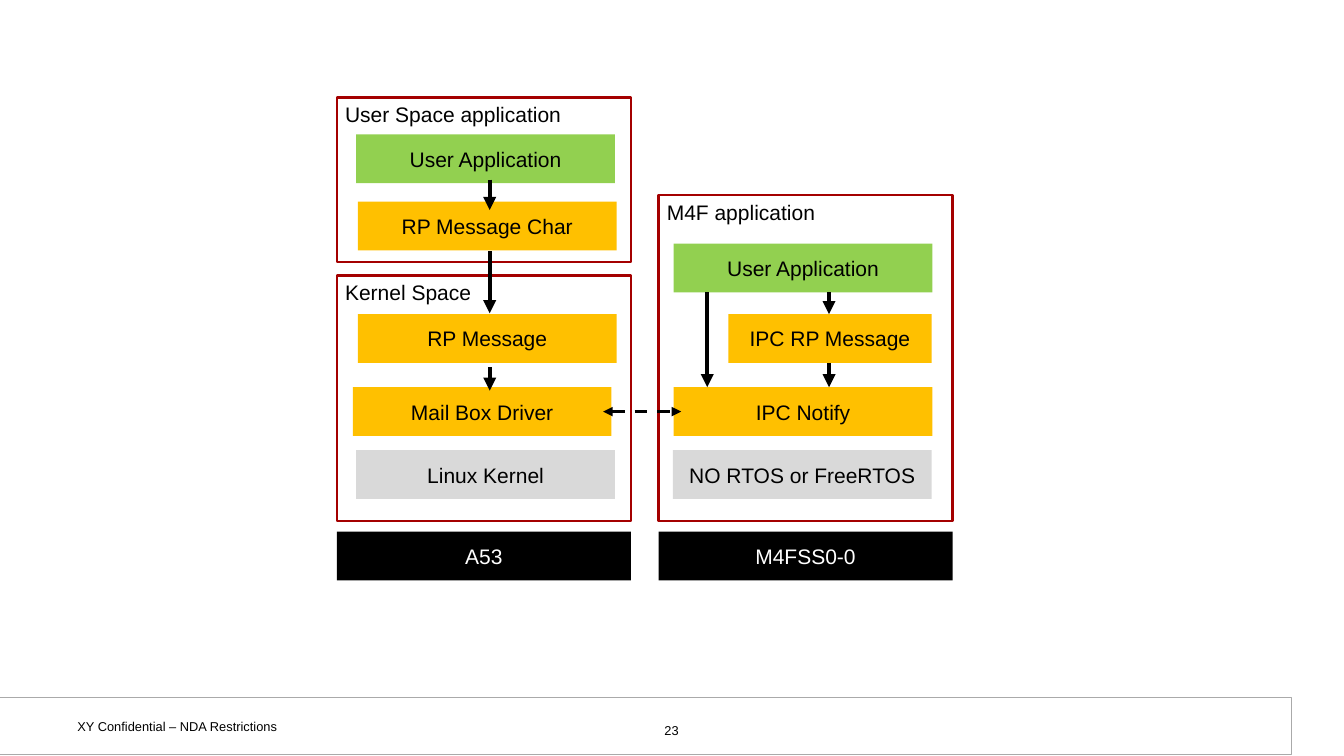
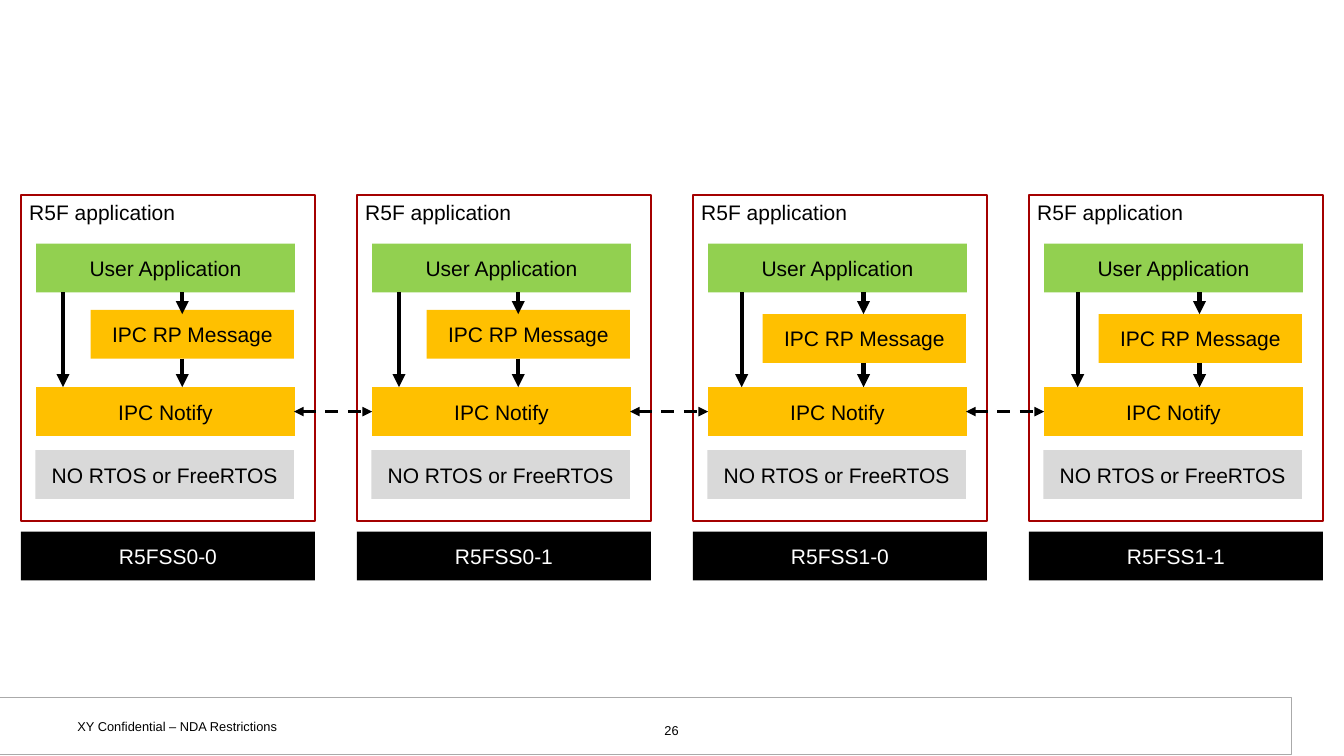
import pptx
import pptx.dml.color
import pptx.enum.dml
import pptx.enum.shapes
import pptx.enum.text
import pptx.oxml.ns
import pptx.util
from lxml import etree

Inches = pptx.util.Inches
Pt = pptx.util.Pt
RGBColor = pptx.dml.color.RGBColor
ALIGN = pptx.enum.text.PP_ALIGN
ANCHOR = pptx.enum.text.MSO_ANCHOR

WHITE = RGBColor(0xFF, 0xFF, 0xFF)
BLACK = RGBColor(0x00, 0x00, 0x00)
RED = RGBColor(0xA4, 0x00, 0x00)
GREEN = RGBColor(0x92, 0xD0, 0x50)
AMBER = RGBColor(0xFF, 0xC0, 0x00)
LIGHT_GREY = RGBColor(0xD9, 0xD9, 0xD9)
FOOTER_GREY = RGBColor(0xAA, 0xAA, 0xAA)

FONT = "Arial"
PANEL_WIDTH = 3.5
LAYER_WIDTH = 3.08
LAYER_HEIGHT = 0.58
PANEL_BOTTOM = 6.2
USER_TOP = 2.9
DRIVER_TOP = 4.61
KERNEL_TOP = 5.36
CORE_TOP = 6.33
LINK_Y = 4.9


def write(shape, text, size, color, align):
    shape.text_frame.word_wrap = True
    paragraph = shape.text_frame.paragraphs[0]
    paragraph.text = text
    paragraph.alignment = align
    paragraph.font.name = FONT
    paragraph.font.size = Pt(size)
    paragraph.font.color.rgb = color


def add_box(slide, left, top, width, height, fill, line=None, line_width=0.75):
    box = slide.shapes.add_shape(
        pptx.enum.shapes.MSO_SHAPE.RECTANGLE,
        Inches(left), Inches(top), Inches(width), Inches(height))
    box.shadow.inherit = False
    box.fill.solid()
    box.fill.fore_color.rgb = fill
    if line is None:
        box.line.fill.background()
    else:
        box.line.color.rgb = line
        box.line.width = Pt(line_width)
    return box


def add_panel(slide, left, top, height, heading):
    """Red frame around the software layers of one core."""
    panel = add_box(slide, left, top, PANEL_WIDTH, height, WHITE, RED, 2)
    panel.text_frame.vertical_anchor = ANCHOR.TOP
    write(panel, heading, 18, BLACK, ALIGN.LEFT)


def add_layer(slide, left, top, label, fill, width=LAYER_WIDTH, color=BLACK):
    layer = add_box(slide, left, top, width, LAYER_HEIGHT, fill)
    layer.text_frame.vertical_anchor = ANCHOR.MIDDLE
    write(layer, label, 18, color, ALIGN.CENTER)


def add_core(slide, left, label):
    add_layer(slide, left, CORE_TOP, label, BLACK, PANEL_WIDTH, WHITE)


def add_arrow(slide, x1, y1, x2, y2, width=3.75, ends=("tailEnd",), dash=None):
    arrow = slide.shapes.add_connector(
        pptx.enum.shapes.MSO_CONNECTOR.STRAIGHT,
        Inches(x1), Inches(y1), Inches(x2), Inches(y2))
    arrow.line.color.rgb = BLACK
    arrow.line.width = Pt(width)
    if dash is not None:
        arrow.line.dash_style = dash
    qn = pptx.oxml.ns.qn
    outline = arrow.line._get_or_add_ln()
    for end in ends:
        etree.SubElement(outline, qn(f"a:{end}"), type="triangle")
    etree.SubElement(arrow._element.spPr, qn("a:effectLst"))


def add_down_arrow(slide, x, top, bottom):
    add_arrow(slide, x, top, x, bottom)


def add_link(slide, left):
    """Dashed two-way arrow between neighbouring cores."""
    add_arrow(slide, left, LINK_Y, left + 0.93, LINK_Y, 2.75,
              ("headEnd", "tailEnd"), pptx.enum.dml.MSO_LINE.DASH)


def add_footer_text(slide, left, top, width, height, text, align):
    note = slide.shapes.add_textbox(
        Inches(left), Inches(top), Inches(width), Inches(height))
    frame = note.text_frame
    frame.margin_left = frame.margin_right = Inches(0.13)
    frame.margin_top = frame.margin_bottom = Inches(0.07)
    write(note, text, 11, BLACK, align)


def new_slide(deck, number):
    slide = deck.slides.add_slide(deck.slide_layouts.get_by_name("Blank"))
    add_box(slide, -0.03, 8.3, 15.4, 0.68, WHITE, FOOTER_GREY)
    add_footer_text(slide, 0.79, 8.48, 3.69, 0.32,
                    "XY Confidential – NDA Restrictions", ALIGN.LEFT)
    add_footer_text(slide, 6.13, 8.53, 3.73, 0.27, str(number), ALIGN.CENTER)
    return slide


def add_rtos_core(slide, left, heading, core,
                  message_top=3.74, bypass=0.58, message_arrow=2.03):
    """Stack of one RTOS core; bypass and message_arrow are offsets from left."""
    top = 2.32
    add_panel(slide, left, top, PANEL_BOTTOM - top, heading)
    add_layer(slide, left + 0.18, USER_TOP, "User Application", GREEN)
    add_layer(slide, left + 0.83, message_top, "IPC RP Message", AMBER, 2.42)
    add_layer(slide, left + 0.18, DRIVER_TOP, "IPC Notify", AMBER)
    add_layer(slide, left + 0.17, KERNEL_TOP, "NO RTOS or FreeRTOS", LIGHT_GREY)
    add_core(slide, left, core)
    user_bottom = USER_TOP + LAYER_HEIGHT
    add_down_arrow(slide, left + bypass, user_bottom, DRIVER_TOP)
    add_down_arrow(slide, left + message_arrow, user_bottom, 3.74)
    add_down_arrow(slide, left + message_arrow,
                   message_top + LAYER_HEIGHT, DRIVER_TOP)


def add_linux_core(slide, left):
    add_panel(slide, left, 1.16, 1.96, "User Space application")
    add_panel(slide, left, 3.28, PANEL_BOTTOM - 3.28, "Kernel Space")
    for offset, top, label, fill in (
            (0.23, 1.6, "User Application", GREEN),
            (0.25, 2.4, "RP Message Char", AMBER),
            (0.25, 3.74, "RP Message", AMBER),
            (0.19, DRIVER_TOP, "Mail Box Driver", AMBER),
            (0.23, KERNEL_TOP, "Linux Kernel", LIGHT_GREY)):
        add_layer(slide, left + offset, top, label, fill)
    add_core(slide, left, "A53")
    for top, bottom in ((2.14, 2.5), (2.99, 3.73), (4.37, 4.65)):
        add_down_arrow(slide, left + 1.82, top, bottom)


def build_linux_slide(deck):
    slide = new_slide(deck, 23)
    add_linux_core(slide, 4.01)
    add_rtos_core(slide, 7.84, "M4F application", "M4FSS0-0")
    add_link(slide, 7.18)


def build_rtos_slide(deck):
    slide = new_slide(deck, 26)
    pitch = 4
    first_cluster = {"message_top": 3.69, "bypass": 0.5, "message_arrow": 1.92}
    cores = (("R5FSS0-0", first_cluster), ("R5FSS0-1", first_cluster),
             ("R5FSS1-0", {}), ("R5FSS1-1", {}))
    for index, (core, layout) in enumerate(cores):
        left = 0.25 + index * pitch
        add_rtos_core(slide, left, "R5F application", core, **layout)
        if index:
            add_link(slide, left - 0.75)


def main():
    deck = pptx.Presentation()
    deck.slide_width = Inches(16)
    deck.slide_height = Inches(9)
    build_linux_slide(deck)
    build_rtos_slide(deck)
    deck.save("out.pptx")


if __name__ == "__main__":
    main()
